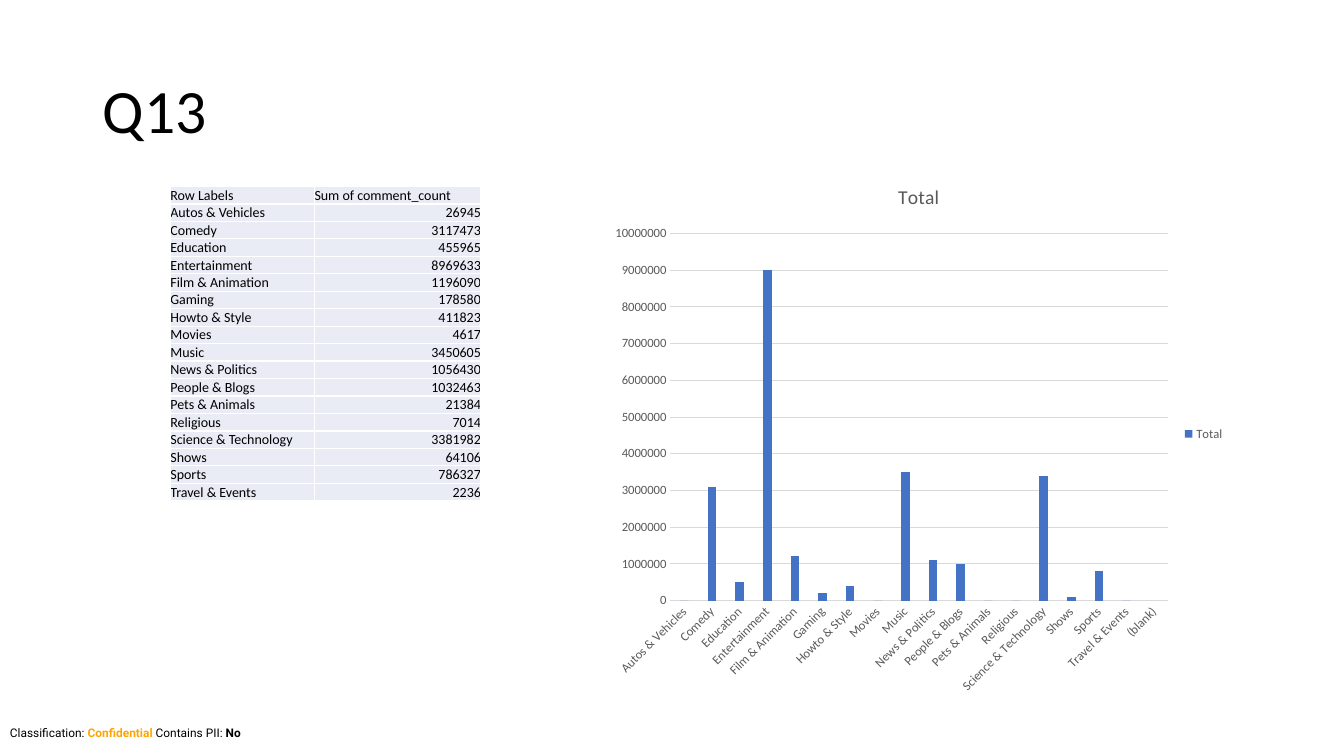
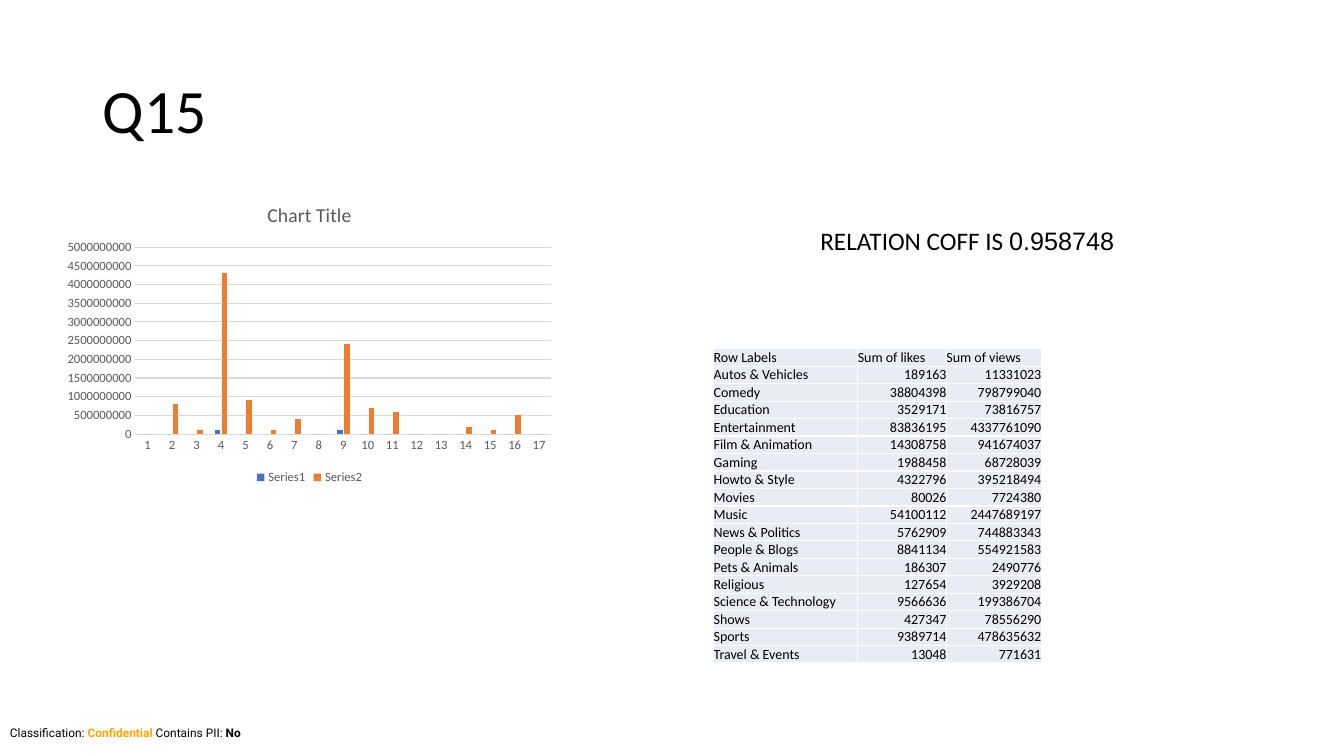
"""Build the two slides on comments, likes and views by category."""
from typing import NamedTuple

from lxml.etree import SubElement
from pptx import Presentation
from pptx.chart.data import CategoryChartData
from pptx.dml.color import RGBColor
from pptx.dml.fill import FillFormat
from pptx.enum.chart import XL_CHART_TYPE, XL_LEGEND_POSITION, XL_TICK_MARK
from pptx.enum.text import MSO_ANCHOR, MSO_AUTO_SIZE, PP_ALIGN
from pptx.oxml.ns import qn
from pptx.slide import Slide
from pptx.table import _Cell
from pptx.text.text import Font, TextFrame, _Paragraph
from pptx.util import Inches, Length, Pt

COLUMN = XL_CHART_TYPE.COLUMN_CLUSTERED
AT_RIGHT = XL_LEGEND_POSITION.RIGHT
AT_FOOT = XL_LEGEND_POSITION.BOTTOM
NO_TICK = XL_TICK_MARK.NONE
MIDDLE = MSO_ANCHOR.MIDDLE
BOTTOM = MSO_ANCHOR.BOTTOM
GROW = MSO_AUTO_SIZE.SHAPE_TO_FIT_TEXT
LEFT, RIGHT = PP_ALIGN.LEFT, PP_ALIGN.RIGHT

BLACK, WHITE, AMBER = "000000", "FFFFFF", "FFA500"
GREY, RULE, PALE = "595959", "D9D9D9", "E9EBF5"
BARS = ["4472C4", "ED7D31"]
SANS = "Calibri"
WIDE, HIGH = Inches(40 / 3), Inches(7.5)

GROUPS = [
    "Autos & Vehicles", "Comedy", "Education", "Entertainment",
    "Film & Animation", "Gaming", "Howto & Style", "Movies", "Music",
    "News & Politics", "People & Blogs", "Pets & Animals", "Religious",
    "Science & Technology", "Shows", "Sports", "Travel & Events",
]
NOTES = [
    26945, 3117473, 455965, 8969633, 1196090, 178580, 411823, 4617, 3450605,
    1056430, 1032463, 21384, 7014, 3381982, 64106, 786327, 2236,
]
LIKES = [
    189163, 38804398, 3529171, 83836195, 14308758, 1988458, 4322796, 80026,
    54100112, 5762909, 8841134, 186307, 127654, 9566636, 427347, 9389714,
    13048,
]
VIEWS = [
    11331023, 798799040, 73816757, 4337761090, 941674037, 68728039,
    395218494, 7724380, 2447689197, 744883343, 554921583, 2490776, 3929208,
    199386704, 78556290, 478635632, 771631,
]


class Box(NamedTuple):
    left: Length
    top: Length
    width: Length
    height: Length


class Run(NamedTuple):
    text: str
    size: float
    face: str = SANS
    color: str = BLACK
    bold: bool = False


class Series(NamedTuple):
    name: str
    values: list[int | None]


class Plot(NamedTuple):
    box: Box
    title: str
    labels: list[str]
    series: list[Series]
    legend: XL_LEGEND_POSITION
    top: int
    step: int


class Column(NamedTuple):
    head: str
    width: Length
    values: list


FOOT = [
    Run("Classification: ", 8.5, "Roboto"),
    Run("Confidential", 8.5, "Roboto", AMBER, True),
    Run(" Contains PII: ", 8.5, "Roboto"),
    Run("No", 8.5, "Roboto", BLACK, True),
]
FOOT_BOX = Box(Inches(0), Inches(7.15), WIDE, Inches(0.24))
TITLE_BOX = Box(Inches(0.92), Inches(0.4), Inches(11.5), Inches(1.45))
ROW = Inches(3.12 / 18)
NAMES = Column("Row Labels", Inches(1.43), GROUPS)


def tint(code: str) -> RGBColor:
    return RGBColor.from_string(code)


def paint(fill: FillFormat, code: str) -> None:
    fill.solid()
    fill.fore_color.rgb = tint(code)


def style(font: Font, size: float, face: str, code: str, bold: bool = False) -> None:
    font.size = Pt(size)
    font.name = face
    font.bold = bold
    font.color.rgb = tint(code)


def write(para: _Paragraph, runs: list[Run]) -> None:
    for item in runs:
        run = para.add_run()
        run.text = item.text
        style(run.font, item.size, item.face, item.color, item.bold)


def add_text(slide: Slide, box: Box, runs: list[Run], wrap: bool = True) -> TextFrame:
    frame = slide.shapes.add_textbox(*box).text_frame
    frame.word_wrap = wrap
    write(frame.paragraphs[0], runs)
    return frame


def add_slide(deck: Presentation, title: str) -> Slide:
    slide = deck.slides.add_slide(deck.slide_layouts[6])
    add_text(slide, FOOT_BOX, FOOT).auto_size = GROW
    frame = add_text(slide, TITLE_BOX, [Run(title, 44)])
    frame.vertical_anchor = MIDDLE
    frame.paragraphs[0].line_spacing = 0.9
    return slide


def edge(cell: _Cell) -> None:
    props = cell._tc.get_or_add_tcPr()
    for side in ("a:lnL", "a:lnR", "a:lnT", "a:lnB"):
        line = SubElement(props, qn(side), w=str(Pt(1)))
        SubElement(SubElement(line, qn("a:solidFill")), qn("a:srgbClr"), val=WHITE)


def fill_cell(cell: _Cell, text: str, align: PP_ALIGN) -> None:
    cell.margin_left = cell.margin_right = Inches(0)
    cell.margin_top = cell.margin_bottom = Inches(0)
    cell.vertical_anchor = BOTTOM
    edge(cell)
    paint(cell.fill, PALE)
    para = cell.text_frame.paragraphs[0]
    para.alignment = align
    write(para, [Run(text, 10)])


def add_grid(slide: Slide, left: Length, top: Length, cols: list[Column]) -> None:
    count = len(GROUPS) + 1
    width = sum(col.width for col in cols)
    grid = slide.shapes.add_table(count, len(cols), left, top, width, ROW * count).table
    grid.first_row = grid.horz_banding = False
    for row in grid.rows:
        row.height = ROW
    for x, col in enumerate(cols):
        grid.columns[x].width = col.width
        for y, value in enumerate([col.head, *col.values]):
            align = LEFT if isinstance(value, str) else RIGHT
            fill_cell(grid.cell(y, x), str(value), align)


def near(values: list[int], digits: int) -> list[int]:
    return [round(value, -digits) for value in values]


def add_plot(slide: Slide, plot: Plot) -> None:
    data = CategoryChartData()
    data.categories = plot.labels
    for item in plot.series:
        data.add_series(item.name, item.values)
    chart = slide.shapes.add_chart(COLUMN, *plot.box, data).chart
    style(chart.font, 10, SANS, BLACK)
    chart.has_title = True
    title = chart.chart_title.text_frame.paragraphs[0]
    write(title, [Run(plot.title, 14, SANS, GREY)])

    chart.has_legend = True
    chart.legend.position = plot.legend
    chart.legend.include_in_layout = False
    style(chart.legend.font, 9, SANS, GREY)

    bars = chart.plots[0]
    bars.gap_width, bars.overlap = 219, -27
    bars.vary_by_categories = False
    for series, code in zip(bars.series, BARS):
        paint(series.format.fill, code)
        series.invert_if_negative = False

    base, scale = chart.category_axis, chart.value_axis
    for axis in (base, scale):
        axis.major_tick_mark = axis.minor_tick_mark = NO_TICK
        style(axis.tick_labels.font, 9, SANS, GREY)
        axis._element.txPr.bodyPr.set("rot", "-60000000")
    scale.minimum_scale, scale.maximum_scale = 0, plot.top
    scale.major_unit = plot.step
    scale.format.line.fill.background()
    for line in (base.format.line, scale.major_gridlines.format.line):
        paint(line.fill, RULE)
        line.width = Pt(0.75)


def add_notes(deck: Presentation) -> None:
    slide = add_slide(deck, "Q13")
    add_plot(slide, Plot(
        Box(Inches(5.98), Inches(1.62), Inches(6.27), Inches(5.37)),
        "Total", [*GROUPS, "(blank)"],
        [Series("Total", [*near(NOTES, 5), None])],
        AT_RIGHT, 10_000_000, 1_000_000,
    ))
    add_grid(slide, Inches(1.69), Inches(1.85), [
        NAMES, Column("Sum of comment_count", Inches(1.65), NOTES),
    ])


def add_views(deck: Presentation) -> None:
    slide = add_slide(deck, "Q15")
    add_plot(slide, Plot(
        Box(Inches(0.57), Inches(1.85), Inches(5), Inches(3)),
        "Chart Title", [str(n + 1) for n in range(len(GROUPS))],
        [Series("Series1", near(LIKES, 8)), Series("Series2", near(VIEWS, 8))],
        AT_FOOT, 5_000_000_000, 500_000_000,
    ))
    box = Box(Inches(8.04), Inches(2.19), Inches(3.26), Inches(0.4))
    runs = [Run("RELATION COFF IS ", 18), Run("0.958748", 18, "Arial")]
    add_text(slide, box, runs, wrap=False).auto_size = GROW
    add_grid(slide, Inches(7.08), Inches(3.46), [
        NAMES,
        Column("Sum of likes", Inches(0.88), LIKES),
        Column("Sum of views", Inches(0.94), VIEWS),
    ])


def main() -> None:
    deck = Presentation()
    deck.slide_width, deck.slide_height = WIDE, HIGH
    add_notes(deck)
    add_views(deck)
    deck.save("out.pptx")


if __name__ == "__main__":
    main()
